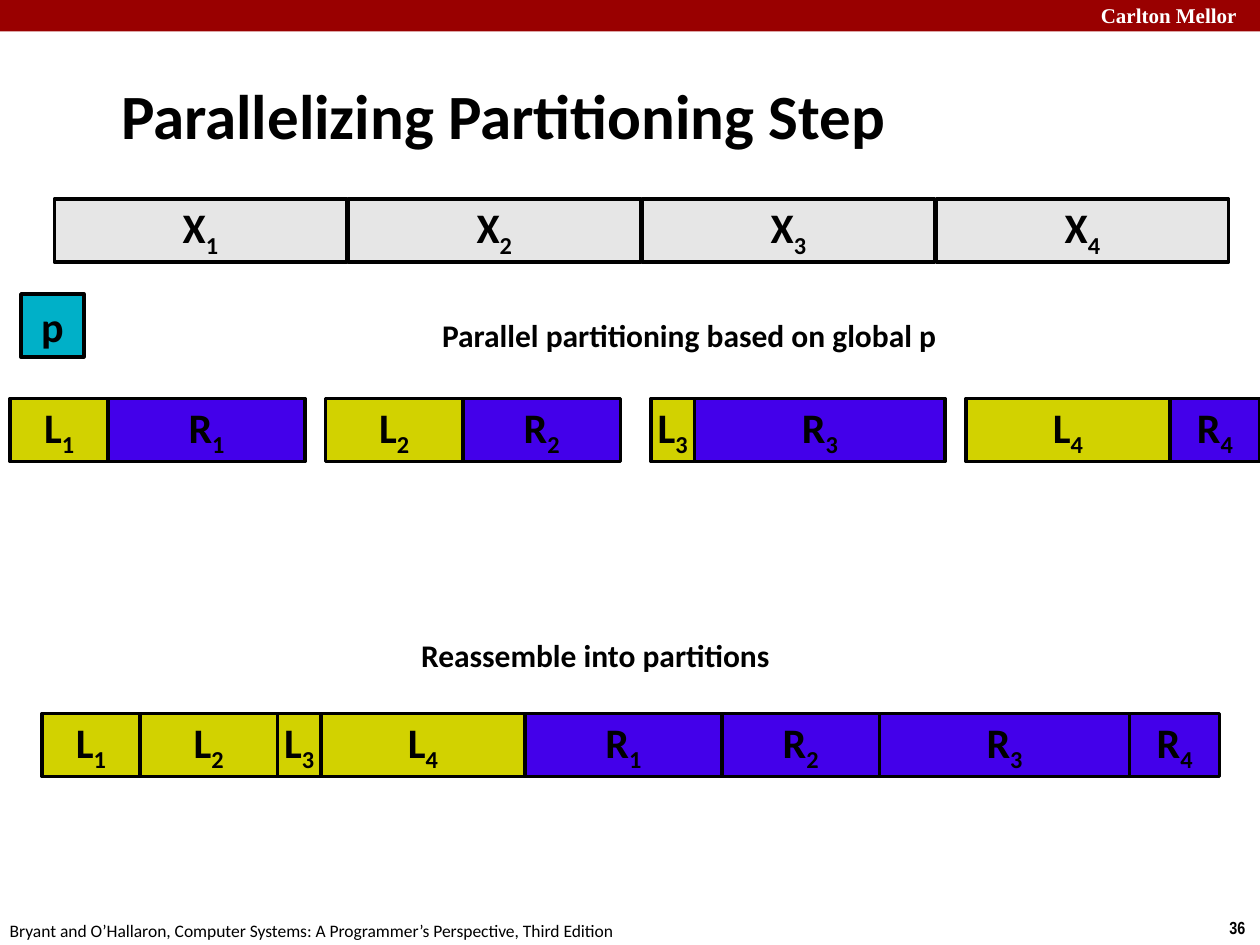
from pptx import Presentation
from pptx import util as u
from pptx.dml.color import RGBColor
from pptx.enum import shapes, text

Pt = u.Pt
BLACK = RGBColor(0x00, 0x00, 0x00)
WHITE = RGBColor(0xFF, 0xFF, 0xFF)
RED = RGBColor(0x99, 0x00, 0x00)
GRAY = RGBColor(0xE6, 0xE6, 0xE6)
TEAL = RGBColor(0x00, 0xB0, 0xC8)
YELLOW = RGBColor(0xD2, 0xD2, 0x00)
VIOLET = RGBColor(0x43, 0x00, 0xEA)

deck = Presentation()
deck.slide_width, deck.slide_height = Pt(720), Pt(540)
page = deck.slides.add_slide(deck.slide_layouts[5])


def write(box, words, subscript="", size=18, font="Calibri", color=BLACK,
          bold=True, align=text.PP_ALIGN.LEFT, anchor=text.MSO_ANCHOR.TOP,
          wrap=False):
    frame = box.text_frame
    frame.word_wrap = wrap
    frame.vertical_anchor = anchor
    para = frame.paragraphs[0]
    para.alignment = align
    for part in filter(None, (words, subscript)):
        span = para.add_run()
        span.text = part
        span.font.size, span.font.name = Pt(size), font
        span.font.bold, span.font.color.rgb = bold, color
    if subscript:
        span.font._element.set("baseline", "-25000")
    return para


def add_block(left, top, width, fill, letter, number=""):
    block = page.shapes.add_shape(shapes.MSO_SHAPE.RECTANGLE,
                                  Pt(left), Pt(top), Pt(width), Pt(36))
    block.shadow.inherit = False
    block.fill.solid()
    block.fill.fore_color.rgb = fill
    block.line.color.rgb = BLACK
    block.line.width = Pt(2)
    write(block, letter, number, size=24, align=text.PP_ALIGN.CENTER,
          anchor=text.MSO_ANCHOR.MIDDLE)


# Header band
band = page.shapes.add_shape(shapes.MSO_SHAPE.RECTANGLE, 0, 0, Pt(720), Pt(18))
band.shadow.inherit = False
band.fill.solid()
band.fill.fore_color.rgb = RED
band.line.fill.background()

# Title with a hanging indent
title = page.shapes.title
title.left, title.top, title.width, title.height = Pt(62), Pt(35.5), Pt(598), Pt(60)
heading = write(title, "Parallelizing Partitioning Step", size=36,
                anchor=text.MSO_ANCHOR.MIDDLE, wrap=True)
properties = heading._p.get_or_add_pPr()
properties.set("marL", str(Pt(9)))
properties.set("indent", str(-Pt(9)))

# Header, footer and captions
for left, top, width, height, words, style in (
    (622, -2, 103, 22, "Carlton Mellor",
     dict(size=12, font="Times New Roman", color=WHITE)),
    (695.5, 520.5, 24.5, 19.5, "36", dict(size=10, font="Arial Narrow")),
    (-1.5, 522, 366, 19.5,
     "Bryant and O’Hallaron, Computer Systems: A Programmer’s Perspective, Third Edition",
     dict(size=10, bold=False)),
    (245.5, 177, 301, 29, "Parallel partitioning based on global p", {}),
    (233.5, 360, 217, 29, "Reassemble into partitions", {}),
):
    box = page.shapes.add_textbox(Pt(left), Pt(top), Pt(width), Pt(height))
    write(box, words, **style)

# Input blocks and the pivot
for index in range(4):
    add_block(31 + 168 * index, 113.75, 167, GRAY, "X", str(index + 1))
add_block(12, 168, 36, TEAL, "p")

# Each input split into its left and right part
LEFT_WIDTHS = (56, 78.5, 25, 116.5)
RIGHT_WIDTHS = (112.5, 90, 143, 51.5)
starts = (5.75, 186, 372, 552)
for index, (start, low, high) in enumerate(zip(starts, LEFT_WIDTHS, RIGHT_WIDTHS), 1):
    add_block(start, 227.75, low, YELLOW, "L", str(index))
    add_block(start + low, 227.75, high, VIOLET, "R", str(index))

# All left parts, then all right parts
edge = 24
for letter, fill, widths in (("L", YELLOW, LEFT_WIDTHS), ("R", VIOLET, RIGHT_WIDTHS)):
    for index, width in enumerate(widths, 1):
        add_block(edge, 407.75, width, fill, letter, str(index))
        edge += width

deck.save("out.pptx")
